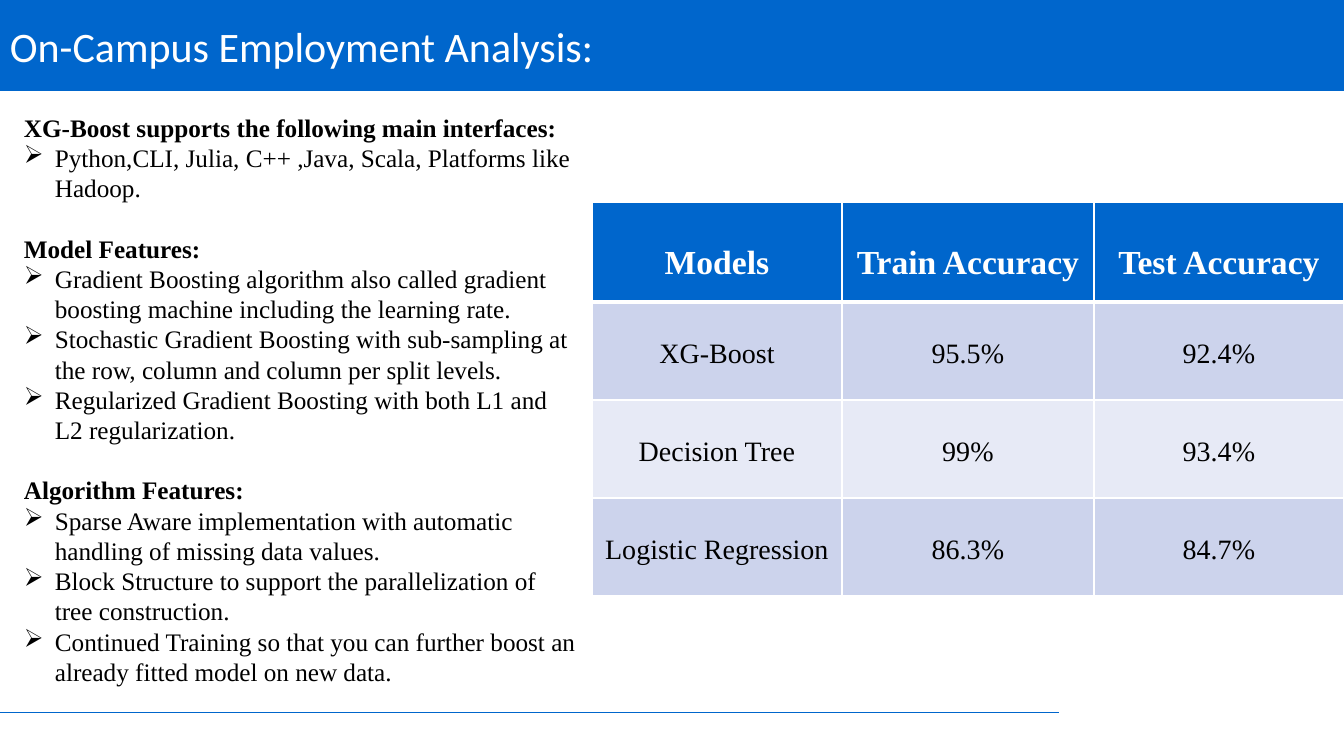
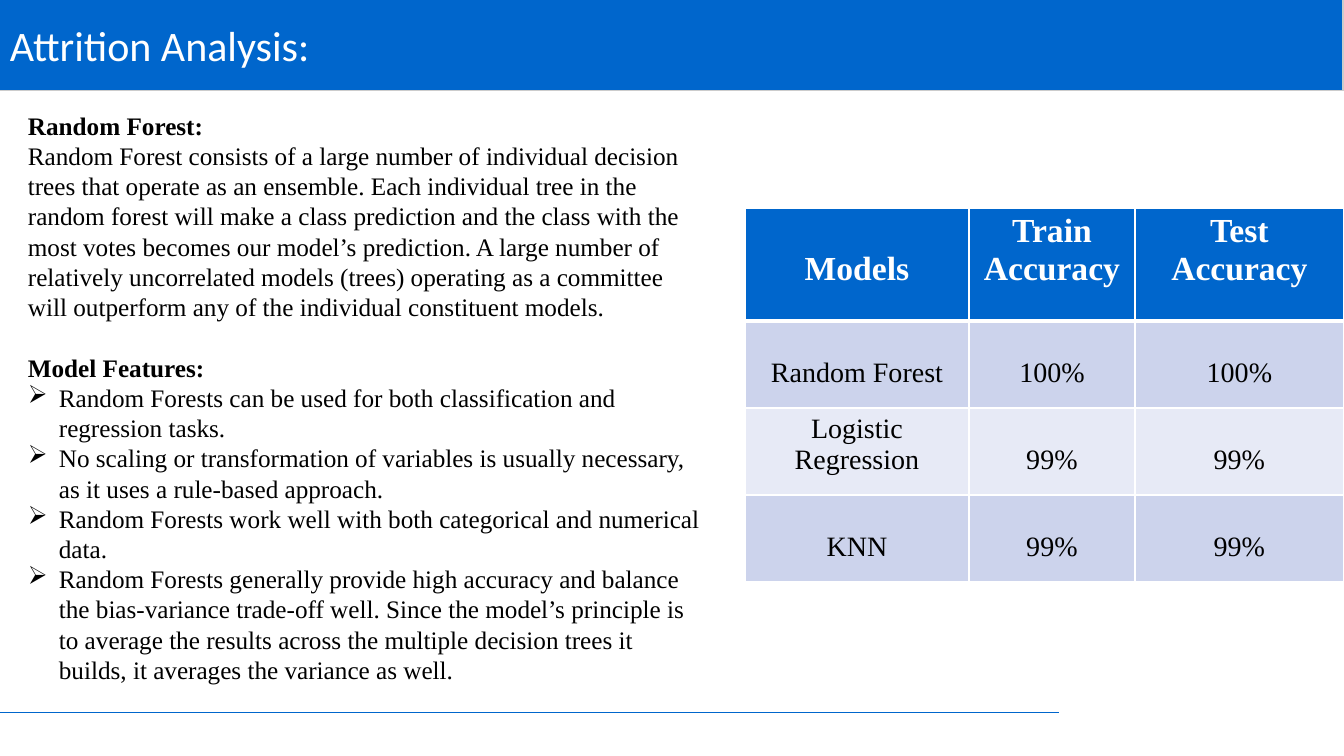
from lxml.etree import SubElement
from pptx import Presentation
from pptx.dml.color import RGBColor
from pptx.enum.shapes import MSO_CONNECTOR, MSO_SHAPE
from pptx.enum.text import MSO_ANCHOR, MSO_AUTO_SIZE, PP_ALIGN
from pptx.oxml.ns import qn
from pptx.util import Inches, Pt

PX = Inches(1) / 100.8
SLIDE_WIDTH, SLIDE_HEIGHT = 1344, 756
BAND_HEIGHT = 91
BULLET_INDENT = 31
BODY_LINE = Pt(21.6)

BLUE = RGBColor(0x00, 0x66, 0xCC)
GREY = RGBColor(0xCC, 0xCC, 0xCC)
DARK_ROW = RGBColor(0xCC, 0xD3, 0xEC)
LIGHT_ROW = RGBColor(0xE7, 0xEA, 0xF6)
WHITE = RGBColor(0xFF, 0xFF, 0xFF)
BLACK = RGBColor(0x00, 0x00, 0x00)

TITLE_FONT = "Calibri"
BODY_FONT = "Times New Roman"

EMPLOYMENT_SECTIONS = [
    ("XG-Boost supports the following main interfaces:", [], [
        "Python,CLI, Julia, C++ ,Java, Scala, Platforms like Hadoop.",
    ]),
    ("Model Features:", [], [
        "Gradient Boosting algorithm also called gradient boosting machine including the learning rate.",
        "Stochastic Gradient Boosting with sub-sampling at the row, column and column per split levels.",
        "Regularized Gradient Boosting with both L1 and L2 regularization.",
    ]),
    ("Algorithm Features:", [], [
        "Sparse Aware implementation with automatic handling of missing data values.",
        "Block Structure to support the parallelization of tree construction.",
        "Continued Training so that you can further boost an already fitted model on new data.",
    ]),
]
ATTRITION_SECTIONS = [
    ("Random Forest:", [
        "Random Forest consists of a large number of individual decision trees that operate as an "
        "ensemble. Each individual tree in the random forest will make a class prediction and the "
        "class with the most votes becomes our model’s prediction. A large number of relatively "
        "uncorrelated models (trees) operating as a committee will outperform any of the individual "
        "constituent models.",
    ], []),
    ("Model Features:", [], [
        "Random Forests can be used for both classification and regression tasks.",
        "No scaling or transformation of variables is usually necessary, as it uses a rule-based approach.",
        "Random Forests work well with both categorical and numerical data.",
        "Random Forests generally provide high accuracy and balance the bias-variance trade-off well. "
        "Since the model’s principle is to average the results across the multiple decision trees it "
        "builds, it averages the variance as well.",
    ]),
]
ACCURACY_HEADER = ("Models", "Train Accuracy", "Test Accuracy")
EMPLOYMENT_SCORES = [
    ACCURACY_HEADER,
    ("XG-Boost", "95.5%", "92.4%"),
    ("Decision Tree", "99%", "93.4%"),
    ("Logistic Regression", "86.3%", "84.7%"),
]
ATTRITION_SCORES = [
    ACCURACY_HEADER,
    ("Random Forest", "100%", "100%"),
    ("Logistic Regression", "99%", "99%"),
    ("KNN", "99%", "99%"),
]
TWO_LINE_LABELS = ("Train Accuracy", "Test Accuracy", "Logistic Regression")


def px(*lengths):
    """Turn pixel lengths into EMU."""
    return [round(length * PX) for length in lengths]


def write(frame, text, *, size=18, font=BODY_FONT, color=BLACK, bold=False,
          align=PP_ALIGN.LEFT, line_spacing=None, space_before=None, bullet=None):
    """Write one formatted paragraph, using the first one while it is empty."""
    paragraph = frame.paragraphs[-1]
    if paragraph.runs:
        paragraph = frame.add_paragraph()
    paragraph.alignment = align
    paragraph.line_spacing = line_spacing
    paragraph.space_before = space_before
    if bullet:
        properties = paragraph._p.get_or_add_pPr()
        indent, = px(BULLET_INDENT)
        properties.set("marL", str(indent))
        properties.set("indent", str(-indent))
        SubElement(properties, qn("a:buChar"), char=bullet)
    run = paragraph.add_run()
    run.text = text
    run.font.size = Pt(size)
    run.font.name = font
    run.font.bold = bold
    run.font.color.rgb = color


def add_band(slide, width, height, color):
    """Add a plain band at the top left corner."""
    band = slide.shapes.add_shape(MSO_SHAPE.RECTANGLE, *px(0, 0, width, height))
    band.shadow.inherit = False
    band.fill.solid()
    band.fill.fore_color.rgb = color
    band.line.fill.background()
    return band


def add_footer_rule(slide):
    """Add the thin rule above the foot of the slide."""
    rule = slide.shapes.add_connector(MSO_CONNECTOR.STRAIGHT, *px(0, 712, 1059, 712))
    rule.line.color.rgb = BLUE
    rule.line.width = Pt(0.5)
    SubElement(rule._element.spPr, qn("a:effectLst"))


def add_title(slide, title, width, height):
    """Add the title band with its text."""
    band = add_band(slide, width, height, BLUE)
    band.text_frame.vertical_anchor = MSO_ANCHOR.MIDDLE
    write(band.text_frame, title, size=30, font=TITLE_FONT, color=WHITE)


def add_sections(slide, box, sections):
    """Add headed sections of paragraphs and bullets, one line apart."""
    frame = slide.shapes.add_textbox(*px(*box)).text_frame
    frame.word_wrap = True
    frame.auto_size = MSO_AUTO_SIZE.SHAPE_TO_FIT_TEXT
    for index, (heading, paragraphs, bullets) in enumerate(sections):
        write(frame, heading, bold=True, line_spacing=BODY_LINE,
              space_before=BODY_LINE if index else None)
        for text in paragraphs:
            write(frame, text, line_spacing=BODY_LINE)
        for text in bullets:
            write(frame, text, line_spacing=BODY_LINE, bullet="➢")


def set_borders(cell, top, bottom):
    """Give a cell white borders, with widths in points."""
    properties = cell._tc.get_or_add_tcPr()
    for side, width in (("L", 1), ("R", 1), ("T", top), ("B", bottom)):
        border = SubElement(properties, qn(f"a:ln{side}"), w=str(Pt(width)))
        fill = SubElement(border, qn("a:solidFill"))
        SubElement(fill, qn("a:srgbClr"), val=str(WHITE))


def add_scores(slide, left, top, widths, heights, scores, two_line=()):
    """Add the accuracy table, with single spacing for two-line labels."""
    table = slide.shapes.add_table(
        len(heights), len(widths), *px(left, top, sum(widths), sum(heights))).table
    table.horz_banding = False
    for column, width in zip(table.columns, px(*widths)):
        column.width = width
    for row, height in zip(table.rows, px(*heights)):
        row.height = height
    for row_index, labels in enumerate(scores):
        header = row_index == 0
        color = BLUE if header else DARK_ROW if row_index % 2 else LIGHT_ROW
        for column_index, label in enumerate(labels):
            cell = table.cell(row_index, column_index)
            set_borders(cell, 3 if row_index == 1 else 1, 3 if header else 1)
            cell.fill.solid()
            cell.fill.fore_color.rgb = color
            write(cell.text_frame, label, size=24 if header else 20, bold=header,
                  color=WHITE if header else BLACK, align=PP_ALIGN.CENTER,
                  line_spacing=1.0 if label in two_line else 2.0)


def add_employment(slide):
    """Build the on-campus employment slide."""
    add_footer_rule(slide)
    add_title(slide, "On-Campus Employment Analysis:", SLIDE_WIDTH, BAND_HEIGHT)
    add_scores(slide, 592, 202, (250, 252, 250), (100, 98, 98, 98), EMPLOYMENT_SCORES)
    add_sections(slide, (14, 107, 574, 649), EMPLOYMENT_SECTIONS)


def add_attrition(slide):
    """Build the attrition slide."""
    add_band(slide, SLIDE_WIDTH, BAND_HEIGHT, GREY)
    add_footer_rule(slide)
    add_title(slide, "Attrition Analysis:", SLIDE_WIDTH - 2, BAND_HEIGHT - 1)
    add_sections(slide, (18, 105, 699, 591), ATTRITION_SECTIONS)
    add_scores(slide, 745, 208, (224, 166, 209), (113, 87, 87, 87),
               ATTRITION_SCORES, two_line=TWO_LINE_LABELS)


def main():
    """Build and save the presentation."""
    presentation = Presentation()
    presentation.slide_width, presentation.slide_height = px(SLIDE_WIDTH, SLIDE_HEIGHT)
    blank = presentation.slide_layouts[6]
    for build in (add_employment, add_attrition):
        build(presentation.slides.add_slide(blank))
    presentation.save("out.pptx")


if __name__ == "__main__":
    main()
